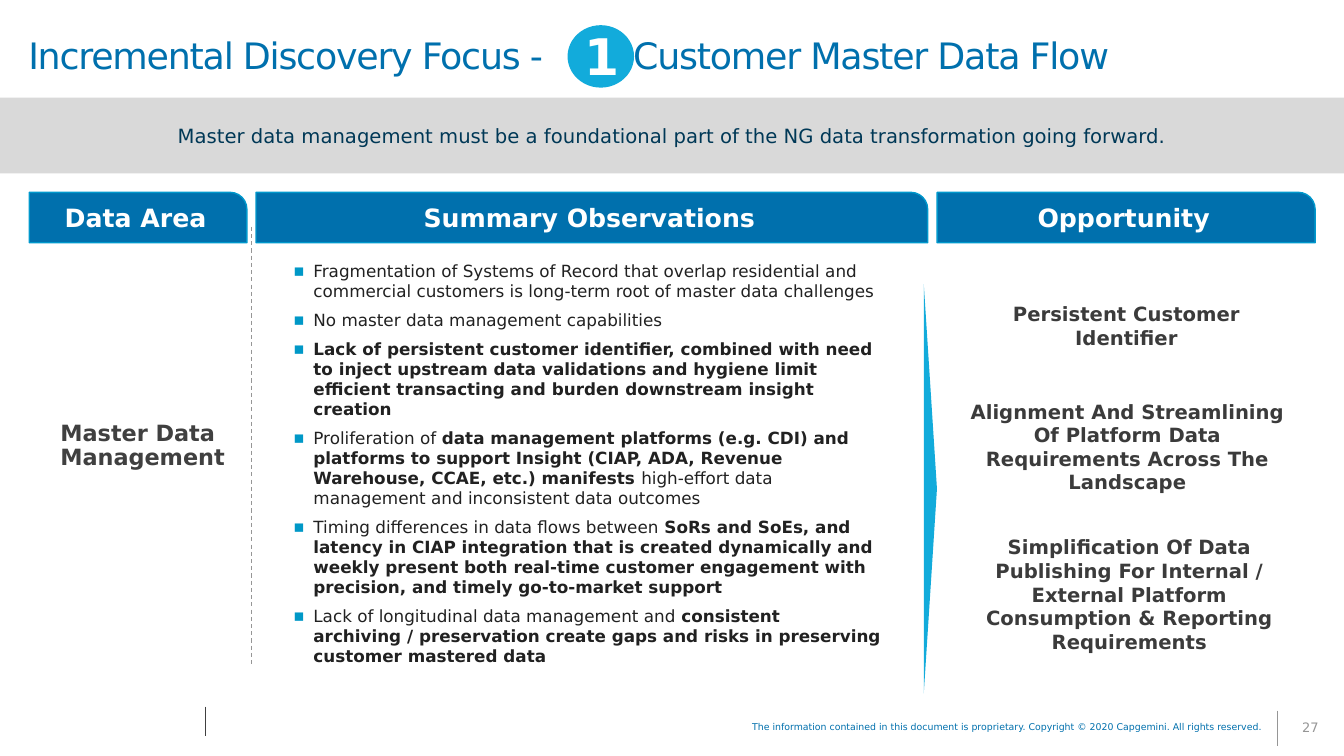
import pptx
import pptx.util
import pptx.dml.color
import pptx.enum.dml
import pptx.enum.shapes
import pptx.enum.text
import pptx.oxml
import pptx.oxml.ns
import lxml.etree

Pt = pptx.util.Pt
RGBColor = pptx.dml.color.RGBColor
SHAPE = pptx.enum.shapes.MSO_SHAPE
ALIGN = pptx.enum.text.PP_ALIGN
ANCHOR = pptx.enum.text.MSO_ANCHOR
qn = pptx.oxml.ns.qn

FONT = "DejaVu Sans"
BLUE = RGBColor(0x00, 0x70, 0xAD)
CYAN = RGBColor(0x12, 0xAB, 0xDB)
EDGE = RGBColor(0x00, 0x98, 0xCC)
BAND = RGBColor(0xD9, 0xD9, 0xD9)
NAVY = RGBColor(0x00, 0x38, 0x56)
INK = RGBColor(0x21, 0x21, 0x21)
DARK = RGBColor(0x3B, 0x3B, 0x3B)
AREA = RGBColor(0x40, 0x40, 0x40)
GREY = RGBColor(0x96, 0x96, 0x96)
WHITE = RGBColor(0xFF, 0xFF, 0xFF)


def set_text(sp, paragraphs, size, color, align=ALIGN.LEFT, anchor=ANCHOR.TOP,
             insets=(7.2, 3.6, 7.2, 3.6), spacing=None):
    """Fill a shape with paragraphs, each a list of (text, bold) runs."""
    tf = sp.text_frame
    tf.word_wrap = True
    tf.auto_size = pptx.enum.text.MSO_AUTO_SIZE.NONE
    tf.vertical_anchor = anchor
    tf.margin_left, tf.margin_top, tf.margin_right, tf.margin_bottom = map(Pt, insets)
    for i, runs in enumerate(paragraphs):
        p = tf.add_paragraph() if i else tf.paragraphs[0]
        p.alignment = align
        if spacing:
            p.line_spacing = spacing
        for text, bold in runs:
            r = p.add_run()
            r.text = text
            r.font.name, r.font.size, r.font.bold = FONT, Pt(size), bold
            r.font.color.rgb = color
    return tf


def add_filled(kind, left, top, width, height, fill):
    sp = s.shapes.add_shape(kind, Pt(left), Pt(top), Pt(width), Pt(height))
    sp.shadow.inherit = False
    sp.fill.solid()
    sp.fill.fore_color.rgb = fill
    sp.line.fill.background()
    return sp


prs = pptx.Presentation()
prs.slide_width, prs.slide_height = Pt(960), Pt(540)
s = prs.slides.add_slide(prs.slide_layouts[5])

# Title, with a tab stop leaving room for the number badge
title = s.shapes.title
title.left, title.top, title.width, title.height = Pt(0), Pt(0), Pt(960), Pt(83.5)
tf = set_text(title, [[("Incremental Discovery Focus -\tCustomer Master Data Flow", False)]],
              26, BLUE, anchor=ANCHOR.MIDDLE, insets=(20.2, 2.2, 10.8, 2.2), spacing=0.85)
p = tf.paragraphs[0]
tabs = lxml.etree.SubElement(p._p.get_or_add_pPr(), qn("a:tabLst"))
lxml.etree.SubElement(tabs, qn("a:tab"), pos=str(Pt(432)), algn="l")
p.runs[0].font._element.set("spc", "-90")

# Number badge
add_filled(SHAPE.OVAL, 405.4, 18, 47.5, 44.6, CYAN)
badge = s.shapes.add_textbox(Pt(410.4), Pt(14.4), Pt(57.6), Pt(51))
set_text(badge, [[("1", True)]], 36, WHITE)

# Key message band
band = add_filled(SHAPE.RECTANGLE, 0, 69.8, 960, 54, BAND)
set_text(band, [[("Master data management must be a foundational part of the NG data "
                  "transformation going forward.", False)]],
         14, NAVY, ALIGN.CENTER, ANCHOR.MIDDLE)

# Column headers
for heading, left, width in [("Data Area", 20.9, 155.5),
                             ("Summary Observations", 182.9, 479.8),
                             ("Opportunity", 669.4, 270)]:
    header = add_filled(SHAPE.ROUND_1_RECTANGLE, left, 137.4, width, 36, BLUE)
    header.adjustments[0] = 0.335
    header.line.color.rgb = EDGE
    header.line.width = Pt(1)
    set_text(header, [[(heading, True)]], 18, WHITE, ALIGN.CENTER, ANCHOR.MIDDLE)

# Data area
area = s.shapes.add_textbox(Pt(38.9), Pt(261.4), Pt(144), Pt(115.2))
set_text(area, [[("Master Data Management", True)]], 16, AREA,
         anchor=ANCHOR.MIDDLE, insets=(4.3, 2.2, 4.3, 2.2), spacing=0.9)

# Summary observations
observations = [
    [("Fragmentation of Systems of Record that overlap residential and commercial "
      "customers is long-term root of master data challenges", False)],
    [("No master data management capabilities", False)],
    [("Lack of persistent customer identifier, combined with need to inject upstream data "
      "validations and hygiene limit efficient transacting and burden downstream insight "
      "creation", True)],
    [("Proliferation of ", False),
     ("data management platforms (e.g. CDI) and platforms to support Insight (CIAP, ADA, "
      "Revenue Warehouse, CCAE, etc.) manifests ", True),
     ("high-effort data management and inconsistent data outcomes", False)],
    [("Timing differences in data flows between ", False),
     ("SoRs and SoEs, and latency in CIAP integration that is created dynamically and weekly "
      "present both real-time customer engagement with precision, and timely go-to-market "
      "support", True)],
    [("Lack of longitudinal data management and ", False),
     ("consistent archiving / preservation create gaps and risks in preserving customer "
      "mastered data", True)],
]
summary = s.shapes.add_textbox(Pt(209.5), Pt(186.5), Pt(420.5), Pt(292.3))
tf = set_text(summary, observations, 12, INK, insets=(0, 0, 0, 0))
for p in tf.paragraphs:
    p.space_after = Pt(6)
    pPr = p._p.get_or_add_pPr()
    pPr.set("marL", str(Pt(14.4)))
    pPr.set("indent", str(Pt(-14.4)))
    color = lxml.etree.SubElement(pPr, qn("a:buClr"))
    lxml.etree.SubElement(color, qn("a:srgbClr"), val="0098C7")
    lxml.etree.SubElement(pPr, qn("a:buFont"), typeface=FONT)
    lxml.etree.SubElement(pPr, qn("a:buChar"), char="▪")

# Pointer towards the opportunities
pointer = add_filled(SHAPE.ISOSCELES_TRIANGLE, 518.4, 344.4, 292.3, 9.4, CYAN)
pointer.rotation = 90

# Opportunities
for text, left, top, height in [
        ("Persistent Customer Identifier", 686.9, 215.9, 33.8),
        ("Alignment And Streamlining Of Platform Data Requirements Across The Landscape",
         687.6, 285.1, 67.7),
        ("Simplification Of Data Publishing For Internal / External Platform Consumption & "
         "Reporting Requirements", 689, 381.9, 85)]:
    box = s.shapes.add_textbox(Pt(left), Pt(top), Pt(235.4), Pt(height))
    set_text(box, [[(text, True)]], 14, DARK, ALIGN.CENTER, ANCHOR.MIDDLE, (0, 0, 0, 0))

# Vertical rules: column divider and footer marks
for x, top, bottom, color, dashed in [(179.5, 162, 475.9, GREY, True),
                                      (146.9, 504.7, 525.6, AREA, False),
                                      (912.2, 507.6, 532.8, GREY, False)]:
    rule = s.shapes.add_connector(pptx.enum.shapes.MSO_CONNECTOR.STRAIGHT,
                                  Pt(x), Pt(top), Pt(x), Pt(bottom))
    rule.line.color.rgb = color
    rule.line.width = Pt(0.75)
    if dashed:
        rule.line.dash_style = pptx.enum.dml.MSO_LINE.DASH
    lxml.etree.SubElement(rule._element.spPr, qn("a:effectLst"))

# Footer
notice = s.shapes.add_textbox(Pt(431.3), Pt(512.6), Pt(478), Pt(14.4))
set_text(notice, [[("The information contained in this document is proprietary. "
                    "Copyright © 2020 Capgemini. All rights reserved.", False)]],
         6.7, BLUE, ALIGN.RIGHT, spacing=0.85)
number = s.shapes.add_textbox(Pt(912.2), Pt(507.6), Pt(47.5), Pt(25.2))
set_text(number, [[("27", False)]], 9.3, GREY, ALIGN.CENTER, ANCHOR.MIDDLE, spacing=0.85)

prs.save("out.pptx")
